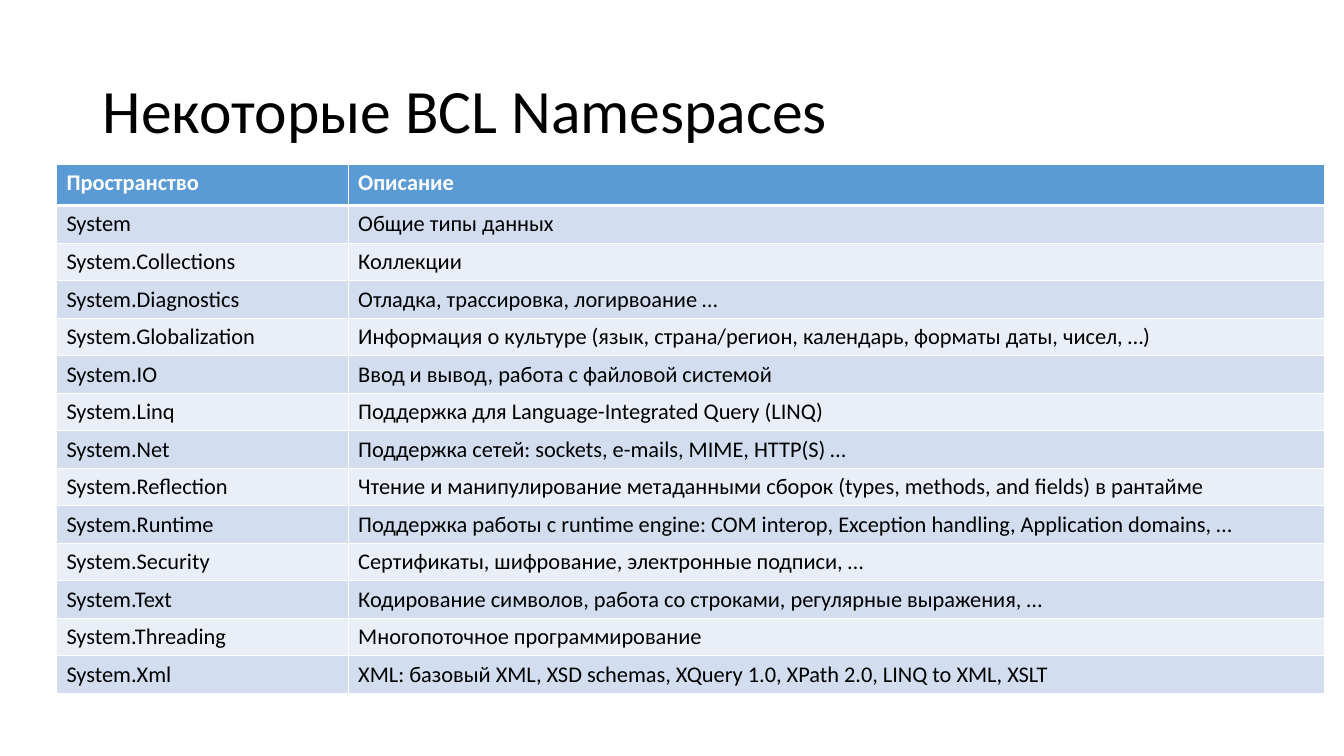
import pptx
import pptx.dml.color
import pptx.enum.text
import pptx.oxml
import pptx.oxml.ns
import pptx.util

RGBColor = pptx.dml.color.RGBColor
Inches, Pt = pptx.util.Inches, pptx.util.Pt

BLACK = RGBColor(0x00, 0x00, 0x00)
WHITE = RGBColor(0xFF, 0xFF, 0xFF)
HEADER_BLUE = RGBColor(0x5B, 0x9B, 0xD5)
BANDS = (RGBColor(0xD2, 0xDE, 0xEF), RGBColor(0xEA, 0xEF, 0xF7))

TITLE_FONT = {"name": "Calibri", "size": Pt(44), "bold": False}
HEADER_FONT = {"name": "Calibri", "size": Pt(16), "bold": True}
BODY_FONT = {**HEADER_FONT, "bold": False}

SLIDE_W, SLIDE_H = 13.33, 7.5
TITLE_BOX = (0.92, 0.4, 11.5, 1.45)
TABLE_BOX = (0.56, 1.63, 12.58, 5.22)
COLUMN_SHARES = (0.23, 0.77)
HEADER_H = 0.41

NAMESPACES = [
    ("Пространство", "Описание"),
    ("System", "Общие типы данных"),
    ("System.Collections", "Коллекции"),
    ("System.Diagnostics", "Отладка, трассировка, логирвоание …"),
    ("System.Globalization",
     "Информация о культуре (язык, страна/регион, календарь, форматы даты, чисел, …)"),
    ("System.IO", "Ввод и вывод, работа с файловой системой"),
    ("System.Linq", "Поддержка для Language-Integrated Query (LINQ)"),
    ("System.Net", "Поддержка сетей: sockets, e-mails, MIME, HTTP(S) …"),
    ("System.Reflection",
     "Чтение и манипулирование метаданными сборок (types, methods, and fields) в рантайме"),
    ("System.Runtime",
     "Поддержка работы с runtime engine: COM interop, Exception handling, Application domains, …"),
    ("System.Security", "Сертификаты, шифрование, электронные подписи, …"),
    ("System.Text", "Кодирование символов, работа со строками, регулярные выражения, …"),
    ("System.Threading", "Многопоточное программирование"),
    ("System.Xml", "XML: базовый XML, XSD schemas, XQuery 1.0, XPath 2.0, LINQ to XML, XSLT"),
]


def set_font(font, values, color):
    for name, value in values.items():
        setattr(font, name, value)
    font.color.rgb = color


def set_borders(cell, **widths):
    """Draw white borders; widths are points keyed by side L, R, T, B."""
    tcPr = cell._tc.get_or_add_tcPr()
    for side, width in widths.items():
        tcPr.append(pptx.oxml.parse_xml(
            f'<a:ln{side} {pptx.oxml.ns.nsdecls("a")} w="{Pt(width)}">'
            f'<a:solidFill><a:srgbClr val="{WHITE}"/></a:solidFill></a:ln{side}>'))


def add_title(slide, box, text):
    sp = slide.shapes.title
    sp.left, sp.top, sp.width, sp.height = map(Inches, box)
    tf = sp.text_frame
    tf.vertical_anchor = pptx.enum.text.MSO_ANCHOR.MIDDLE
    p = tf.paragraphs[0]
    p.alignment = pptx.enum.text.PP_ALIGN.LEFT
    p.line_spacing = 0.9
    r = p.add_run()
    r.text = text
    set_font(r.font, TITLE_FONT, BLACK)


def add_namespace_table(slide, box, rows):
    width, height = box[2:]
    table = slide.shapes.add_table(len(rows), len(COLUMN_SHARES), *map(Inches, box)).table
    for column, share in zip(table.columns, COLUMN_SHARES):
        column.width = Inches(width * share)
    body_h = (height - HEADER_H) / (len(rows) - 1)
    for i, texts in enumerate(rows):
        header = i == 0
        table.rows[i].height = Inches(HEADER_H if header else body_h)
        for cell, text in zip(table.rows[i].cells, texts):
            set_borders(cell, L=1, R=1, T=3 if i == 1 else 1, B=3 if header else 1)
            cell.fill.solid()
            cell.fill.fore_color.rgb = HEADER_BLUE if header else BANDS[(i - 1) % 2]
            r = cell.text_frame.paragraphs[0].add_run()
            r.text = text
            set_font(r.font, HEADER_FONT if header else BODY_FONT, WHITE if header else BLACK)


def main():
    prs = pptx.Presentation()
    prs.slide_width, prs.slide_height = Inches(SLIDE_W), Inches(SLIDE_H)
    slide = prs.slides.add_slide(prs.slide_layouts.get_by_name("Title Only"))
    add_title(slide, TITLE_BOX, "Некоторые BCL Namespaces")
    add_namespace_table(slide, TABLE_BOX, NAMESPACES)
    prs.save("out.pptx")


if __name__ == "__main__":
    main()
